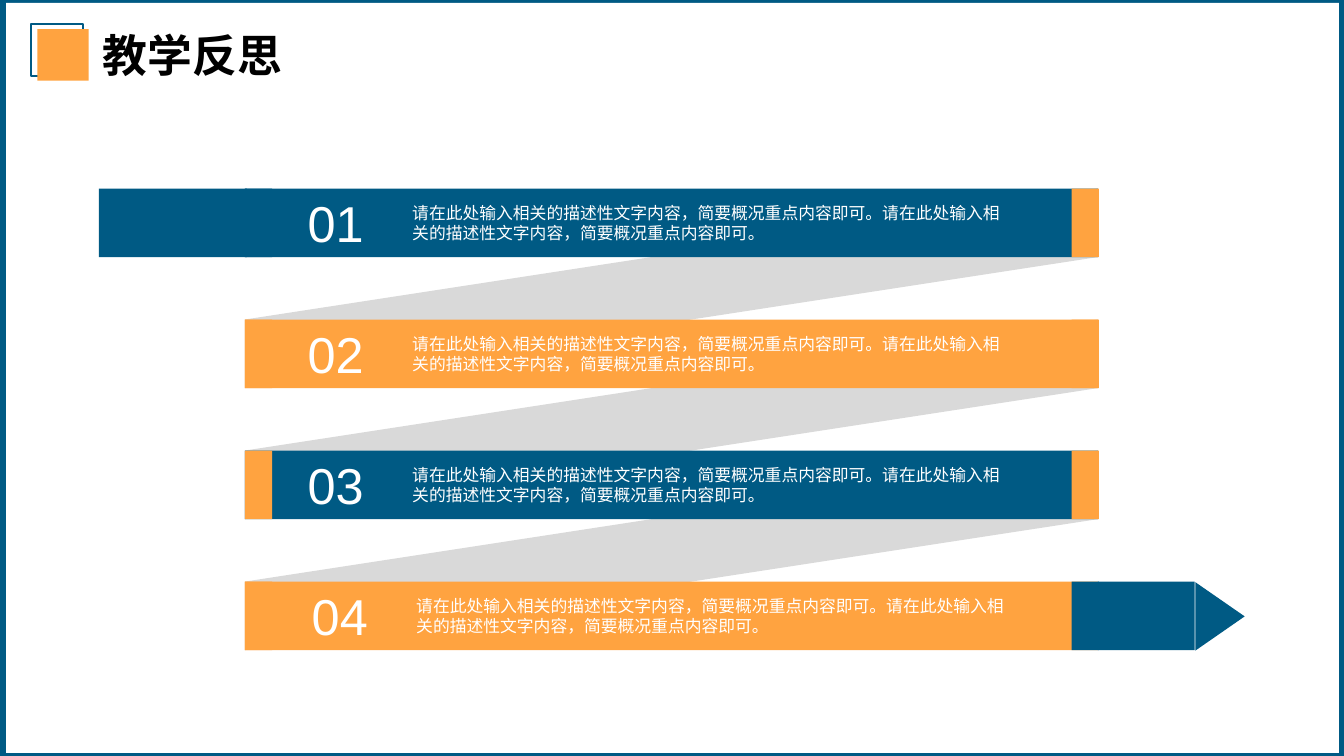
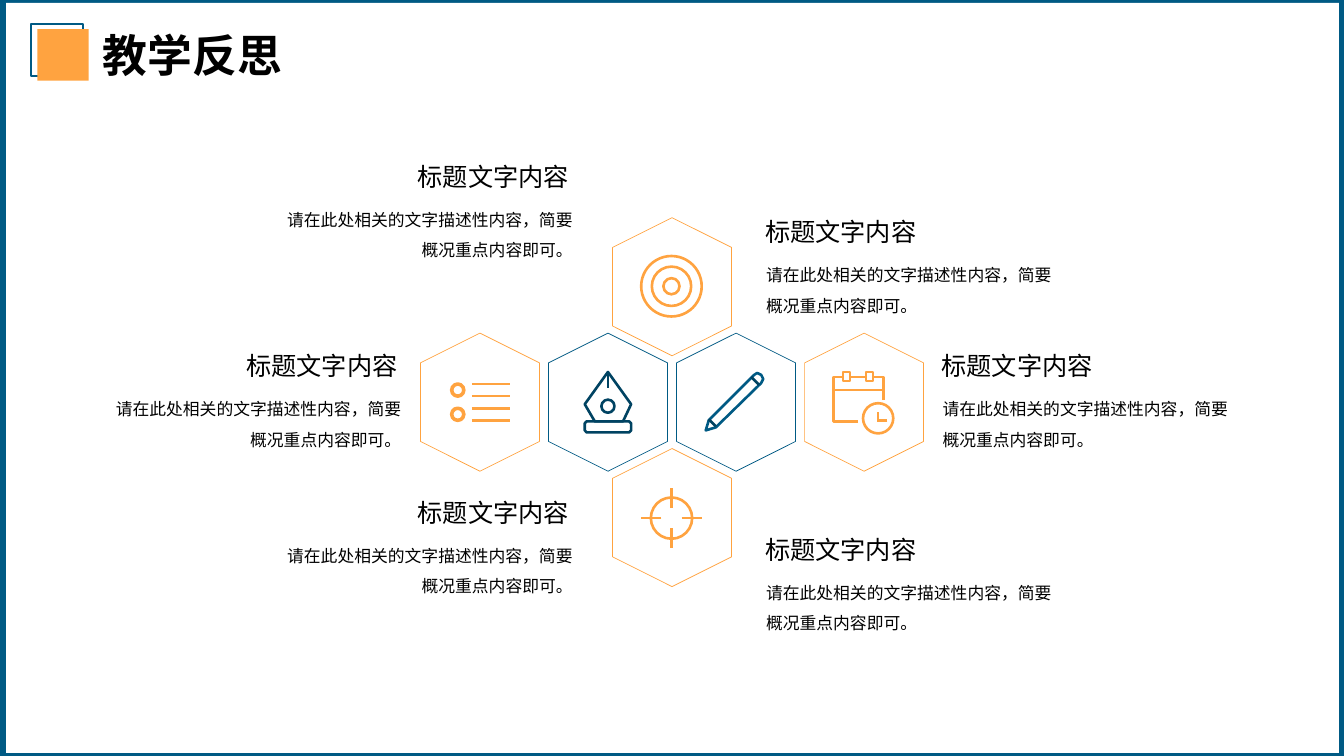
from dataclasses import dataclass
from typing import NamedTuple

from lxml.etree import SubElement
from pptx import Presentation
from pptx.dml.color import RGBColor
from pptx.enum.shapes import MSO_CONNECTOR, MSO_SHAPE
from pptx.enum.text import MSO_ANCHOR, MSO_AUTO_SIZE, PP_ALIGN
from pptx.oxml.ns import qn
from pptx.util import Inches, Pt

BLUE = RGBColor(0x00, 0x5A, 0x84)
NAVY = RGBColor(0x00, 0x43, 0x62)
ORANGE = RGBColor(0xFF, 0xA3, 0x40)
GRAY = RGBColor(0xD9, 0xD9, 0xD9)
WHITE = RGBColor(0xFF, 0xFF, 0xFF)
BLACK = RGBColor(0x00, 0x00, 0x00)

# The slide is a grid of square cells; all lengths count cells.
CELL = Inches(0.01)
COLS, ROWS = 1333, 750

TITLE = "教学反思"
BAR_TEXT = "请在此处输入相关的描述性文字内容，简要概况重点内容即可。" * 2
HEAD = "标题文字内容"
BODY = "请在此处相关的文字描述性内容，简要概况重点内容即可。"

TITLE_FONT = {"name": "Arial", "size": Pt(32), "bold": True}
NUM_FONT = {"name": "Arial", "size": Pt(36)}
HEAD_FONT = {"name": "Arial", "size": Pt(18)}
BODY_FONT = {"name": "Arial", "size": Pt(12)}

# Bars
BAR_X, BAR_Y, BAR_W, BAR_H = 243, 187, 846, 68
BAR_STEP, CAP_W = 130, 27
BAR_END = BAR_X + BAR_W

# Hexagons
HEX_W, HEX_H = 137, 118
HEX_STEP, HEX_RISE = 127, 114.5
HEX_Y = 399
INK = 1.88


class Box(NamedTuple):
    x: float
    y: float
    w: float
    h: float


class Path(NamedTuple):
    """Points in cells, counted from the middle of a hexagon."""
    points: list
    closed: bool = False
    color: RGBColor | None = None


class Disc(NamedTuple):
    x: float
    y: float
    r: float
    width: float = INK


@dataclass
class Bar:
    num: str
    fill: RGBColor
    left: RGBColor
    right: RGBColor
    shift: int = 0


@dataclass
class Hex:
    col: float
    row: int
    edge: RGBColor
    ink: RGBColor
    icon: list


@dataclass
class Note:
    x: int
    y: int
    align: PP_ALIGN


def emu(*cells):
    return [int(n * CELL) for n in cells]


def dress(item, values):
    for name, value in values.items():
        setattr(item, name, value)


def paint(shape, fill=None, line=None, width=INK):
    shape.shadow.inherit = False
    if fill is None:
        shape.fill.background()
    else:
        shape.fill.solid()
        shape.fill.fore_color.rgb = fill
    if line is None:
        shape.line.fill.background()
    else:
        shape.line.color.rgb = line
        shape.line.width = Pt(width)
    return shape


def block(slide, box, fill=None, line=None, width=INK, kind=MSO_SHAPE.RECTANGLE):
    return paint(slide.shapes.add_shape(kind, *emu(*box)), fill, line, width)


def outline(slide, points, closed, fill=None, line=None):
    first, *rest = points
    pen = slide.shapes.build_freeform(*first, scale=CELL)
    pen.add_line_segments(rest, close=closed)
    return paint(pen.convert_to_shape(), fill, line)


def stroke(slide, start, end, color):
    line = slide.shapes.add_connector(MSO_CONNECTOR.STRAIGHT, *emu(*start, *end))
    line.line.color.rgb = color
    line.line.width = Pt(INK)
    SubElement(line.element.spPr, qn("a:effectLst"))


def write(frame, text, font, color, **layout):
    para = frame.paragraphs[0]
    para.text = text
    dress(para, layout)
    dress(para.font, font)
    para.font.color.rgb = color


def label(slide, box, text, font, color, **layout):
    frame = slide.shapes.add_textbox(*emu(*box)).text_frame
    frame.word_wrap = True
    write(frame, text, font, color, **layout)


def set_frame(layout, slide):
    """Draw the border and title mark, then move them to the layout."""
    parts = [
        block(slide, Box(0, 0, COLS, ROWS), BLUE),
        block(slide, Box(6, 3, COLS - 11, ROWS - 6), WHITE),
        block(slide, Box(31, 24, 51, 51), line=BLUE, width=1.5),
        block(slide, Box(37, 29, 51, 51), ORANGE),
    ]
    for spot, part in enumerate(parts, 2):
        layout.shapes.element.insert(spot, part.element)
    title = layout.placeholders[0]
    dress(title, dict(zip(("left", "top", "width", "height"), emu(92, 22, 200, 64))))


def set_title(slide):
    frame = slide.shapes.title.text_frame
    dress(frame, {"word_wrap": False, "auto_size": MSO_AUTO_SIZE.NONE,
                  "vertical_anchor": MSO_ANCHOR.MIDDLE})
    write(frame, TITLE, TITLE_FONT, BLACK, alignment=PP_ALIGN.LEFT)


BARS = [
    Bar("01", BLUE, BLUE, ORANGE),
    Bar("02", ORANGE, ORANGE, ORANGE),
    Bar("03", BLUE, ORANGE, ORANGE),
    Bar("04", ORANGE, ORANGE, BLUE, shift=4),
]


def draw_bars(slide):
    tops = [BAR_Y + i * BAR_STEP for i in range(len(BARS))]
    for top, low in zip(tops, tops[1:]):
        outline(slide, [(BAR_X, low), (BAR_END, top), (BAR_END, top + BAR_H),
                        (BAR_X, low + BAR_H)], True, GRAY)
    block(slide, Box(98, tops[0], 147, BAR_H), BLUE)
    for top, bar in zip(tops, BARS):
        block(slide, Box(BAR_X, top, BAR_W, BAR_H), bar.fill)
        block(slide, Box(BAR_X, top, CAP_W, BAR_H), bar.left)
        block(slide, Box(BAR_END - CAP_W + 1, top, CAP_W, BAR_H), bar.right)
        label(slide, Box(294 + bar.shift, top - 1, 78, 71), bar.num, NUM_FONT,
              WHITE, alignment=PP_ALIGN.CENTER)
        label(slide, Box(399 + bar.shift, top + 9, 605, 50), BAR_TEXT, BODY_FONT, WHITE)
    block(slide, Box(BAR_END, tops[-1], 96, BAR_H), BLUE)
    tip = block(slide, Box(1176, tops[-1] + 10, BAR_H, 49), BLUE,
                kind=MSO_SHAPE.ISOSCELES_TRIANGLE)
    tip.rotation = 90


def clip(x):
    return Path([(x, -30), (x + 7, -30), (x + 7, -21), (x, -21)], True)


LIST = [Path([(-8, y), (30, y)]) for y in (-18, -6, 6, 18)] + [
    Disc(-22, y, 6, 2.55) for y in (-12, 12)]
PEN = [
    Path([(0, -30), (-23, 2), (-13, 19), (15, 19), (23, 2)], True),
    Path([(-21, 19), (21, 19), (23, 21), (23, 28), (21, 30), (-21, 30),
          (-23, 28), (-23, 21)], True),
    Path([(0, -30), (0, -14)]),
    Disc(0, 4, 6.5),
]
PENCIL = [
    Path([(-30, 28), (-27, 18), (18, -27), (21, -29), (25, -27), (27, -23),
          (25, -19), (-20, 25)], True),
    Path([(-27, 17), (-20, 24)], color=NAVY),
    Path([(15, -25), (23, -17)], color=NAVY),
]
DATE = [
    Path([(-6, 19), (-30, 19), (-30, -25), (-22, -25)]),
    Path([(10, -25), (19, -25), (19, -2)]),
    Path([(-30, -12), (19, -12)]),
    clip(-21),
    clip(2),
    Path([(-13, -25), (1, -25)]),
    Disc(14, 16, 15),
    Path([(14, 10), (14, 19)]),
    Path([(23, 18), (13, 18)]),
]
CROSS = [Disc(0, 0, 20.5)] + [
    Path([(10 * x, 10 * y), (30 * x, 30 * y)])
    for x, y in ((0, -1), (0, 1), (1, 0), (-1, 0))]
TARGET = [Disc(0, 0, r) for r in (8, 19.5, 30)]

HEXES = [
    Hex(-1.5, 0, ORANGE, ORANGE, LIST),
    Hex(-0.5, 0, BLUE, NAVY, PEN),
    Hex(0.5, 0, BLUE, BLUE, PENCIL),
    Hex(1.5, 0, ORANGE, ORANGE, DATE),
    Hex(0, -1, ORANGE, ORANGE, TARGET),
    Hex(0, 1, ORANGE, ORANGE, CROSS),
]
NOTES = [
    Note(267, 155, PP_ALIGN.RIGHT),
    Note(97, 343, PP_ALIGN.RIGHT),
    Note(267, 488, PP_ALIGN.RIGHT),
    Note(749, 210, PP_ALIGN.LEFT),
    Note(924, 343, PP_ALIGN.LEFT),
    Note(749, 525, PP_ALIGN.LEFT),
]


def draw_icon(slide, icon, x, y, ink):
    for part in icon:
        if isinstance(part, Disc):
            box = Box(x + part.x - part.r, y + part.y - part.r, 2 * part.r, 2 * part.r)
            block(slide, box, line=ink, width=part.width, kind=MSO_SHAPE.OVAL)
            continue
        points = [(x + dx, y + dy) for dx, dy in part.points]
        color = part.color or ink
        if len(points) == 2:
            stroke(slide, *points, color)
        else:
            outline(slide, points, part.closed, line=color)


def draw_hexes(slide):
    for note in NOTES:
        label(slide, Box(note.x, note.y, 307, 40), HEAD, HEAD_FONT, BLACK,
              alignment=note.align)
        label(slide, Box(note.x + 1, note.y + 38, 310, 68), BODY, BODY_FONT, BLACK,
              alignment=note.align, line_spacing=1.5)
    for cell in HEXES:
        x = COLS / 2 + cell.col * HEX_STEP
        y = HEX_Y + cell.row * HEX_RISE
        box = Box(x - HEX_W / 2, y - HEX_H / 2, HEX_W, HEX_H)
        block(slide, box, line=cell.edge, width=0.5, kind=MSO_SHAPE.HEXAGON).rotation = 90
        draw_icon(slide, cell.icon, round(x), round(y), cell.ink)


def main():
    deck = Presentation()
    deck.slide_width, deck.slide_height = emu(COLS, ROWS)
    layout = deck.slide_layouts[5]
    for order, draw in enumerate((draw_bars, draw_hexes)):
        slide = deck.slides.add_slide(layout)
        if order == 0:
            set_frame(layout, slide)
        set_title(slide)
        draw(slide)
    deck.save("out.pptx")


if __name__ == "__main__":
    main()
